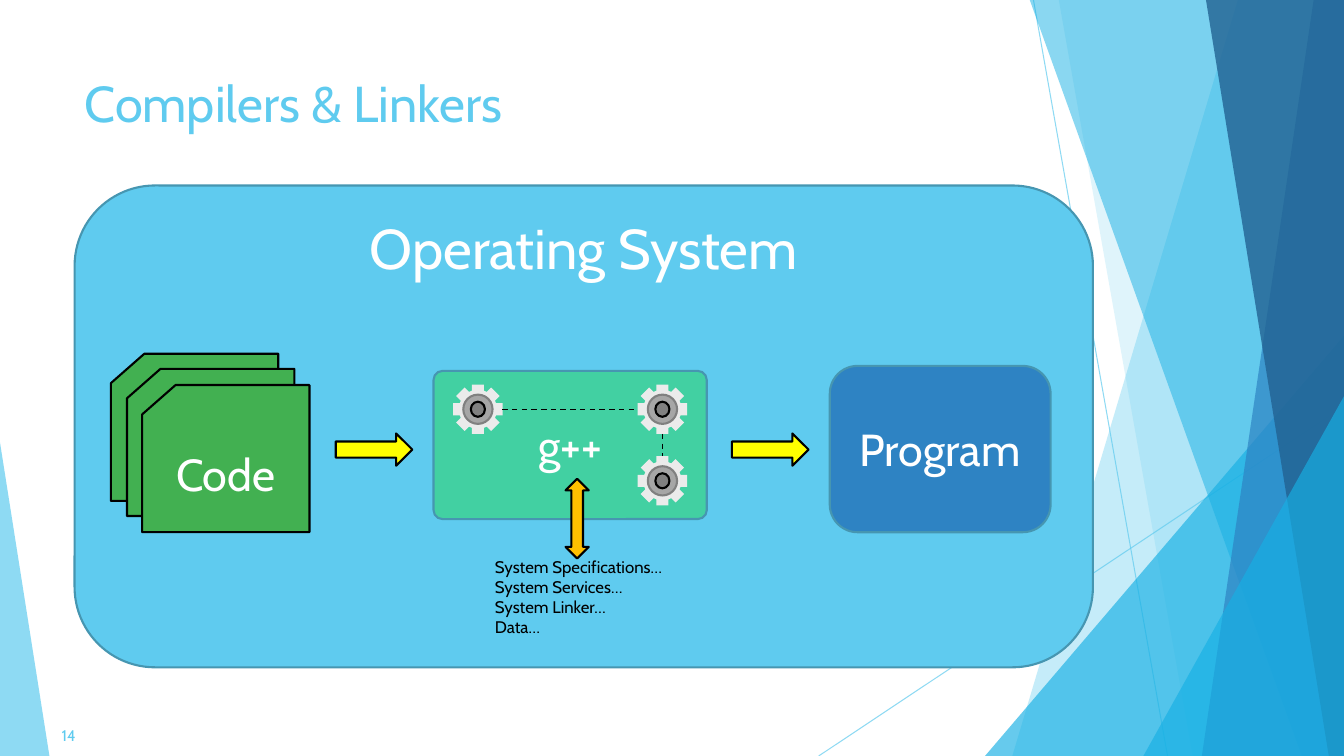
import dataclasses

import lxml.etree
import pptx
import pptx.dml.color
import pptx.enum.dml
import pptx.enum.shapes
import pptx.enum.text
import pptx.oxml.ns
import pptx.util

Inches = pptx.util.Inches
Pt = pptx.util.Pt
qn = pptx.oxml.ns.qn
Shape = pptx.enum.shapes.MSO_SHAPE
Align = pptx.enum.text.PP_ALIGN
Anchor = pptx.enum.text.MSO_ANCHOR
AutoSize = pptx.enum.text.MSO_AUTO_SIZE


@dataclasses.dataclass(frozen=True)
class Theme:
    font: str = "Cabin"
    sky: str = "5FCBEF"
    cyan: str = "17B0E4"
    blue: str = "2E83C3"
    navy: str = "226292"
    outline: str = "4696B1"
    mint: str = "42D0A2"
    green: str = "42B051"
    yellow: str = "FFFF00"
    amber: str = "FFC000"
    pale_grey: str = "EBEBEB"
    mid_grey: str = "A6A6A6"
    dark_grey: str = "808080"
    black: str = "000000"
    white: str = "FFFFFF"
    system_size: int = 40
    title_size: int = 36
    label_size: int = 32
    note_size: int = 12
    number_size: int = 11
    border: float = 1.5


class SlideBuilder:
    def __init__(self, slide, theme):
        self.slide = slide
        self.theme = theme

    def rgb(self, colour):
        return pptx.dml.color.RGBColor.from_string(colour)

    def fade(self, item, opacity):
        """Make every colour of the item partly transparent (opacity in percent)."""
        for colour in item._element.spPr.iter(qn("a:srgbClr")):
            lxml.etree.SubElement(colour, qn("a:alpha"), val=str(opacity * 1000))

    def paint(self, shape, fill, line=None, opacity=None):
        shape.shadow.inherit = False
        shape.fill.solid()
        shape.fill.fore_color.rgb = self.rgb(fill)
        if line:
            shape.line.color.rgb = self.rgb(line)
            shape.line.width = Pt(self.theme.border)
        else:
            shape.line.fill.background()
        if opacity:
            self.fade(shape, opacity)
        return shape

    def set_text(self, shape, lines, size, colour, align=Align.LEFT,
                 anchor=Anchor.TOP, auto_size=AutoSize.NONE):
        frame = shape.text_frame
        frame_format = {"word_wrap": True, "vertical_anchor": anchor, "auto_size": auto_size}
        for key, value in frame_format.items():
            setattr(frame, key, value)
        frame.text = "\n".join(lines)
        for paragraph in frame.paragraphs:
            paragraph.alignment = align
            for key, value in {"name": self.theme.font, "size": Pt(size)}.items():
                setattr(paragraph.font, key, value)
            paragraph.font.color.rgb = self.rgb(colour)

    def title(self, box, text):
        title = self.slide.shapes.title
        for key, value in zip(("left", "top", "width", "height"), box):
            setattr(title, key, Inches(value))
        self.set_text(title, [text], self.theme.title_size, self.theme.sky)

    def shape(self, kind, box, fill, line=None, opacity=None, adjust=None,
              rotation=0, parent=None):
        shapes = (parent or self.slide).shapes
        shape = shapes.add_shape(kind, *map(Inches, box))
        shape.rotation = rotation
        if adjust is not None:
            shape.adjustments[0] = adjust
        return self.paint(shape, fill, line, opacity)

    def block(self, kind, box, fill, line, text, size=None, anchor=Anchor.MIDDLE, adjust=None):
        """Draw an outlined shape with a centred white label."""
        shape = self.shape(kind, box, fill, line, adjust=adjust)
        self.set_text(shape, [text], size or self.theme.label_size, self.theme.white,
                      Align.CENTER, anchor)

    def text(self, box, lines, size, colour, **layout):
        text_box = self.slide.shapes.add_textbox(*map(Inches, box))
        self.set_text(text_box, lines, size, colour, **layout)

    def facet(self, points, fill, opacity):
        """Draw a borderless translucent polygon."""
        corners = [(Inches(x), Inches(y)) for x, y in points]
        builder = self.slide.shapes.build_freeform(*corners[0])
        builder.add_line_segments(corners[1:], close=True)
        self.paint(builder.convert_to_shape(), fill, opacity=opacity)

    def line(self, start, end, colour, width, opacity=None, dashed=False):
        line = self.slide.shapes.add_connector(
            pptx.enum.shapes.MSO_CONNECTOR.STRAIGHT, *map(Inches, start + end))
        line.line.color.rgb = self.rgb(colour)
        line.line.width = Pt(width)
        if dashed:
            line.line.dash_style = pptx.enum.dml.MSO_LINE.DASH
        if opacity:
            self.fade(line, opacity)
        lxml.etree.SubElement(line._element.spPr, qn("a:effectLst"))
        return line

    def gear(self, x, y):
        """Draw a gear centred on x, y and return its upright spoke."""
        theme = self.theme
        group = self.slide.shapes.add_group_shape()

        def centred(kind, width, height, fill, line=None, rotation=0):
            box = (x - width / 2, y - height / 2, width, height)
            return self.shape(kind, box, fill, line, rotation=rotation, parent=group)

        spokes = [centred(Shape.RECTANGLE, 0.12, 0.49, theme.pale_grey, rotation=angle)
                  for angle in (0, 90, 45, 135)]
        for width, height, fill, line in (
                (0.38, 0.39, theme.pale_grey, None),
                (0.29, 0.29, theme.mid_grey, theme.dark_grey),
                (0.14, 0.15, theme.dark_grey, theme.black)):
            centred(Shape.OVAL, width, height, fill, line)
        return spokes[0]


def draw_backdrop(page, theme):
    right, top, bottom = 13.33, -0.01, 7.5
    for start, end in (((10.25, 0), (11.58, bottom)), ((right, 4.03), (8.12, bottom))):
        page.line(start, end, theme.sky, 0.75, opacity=70)

    def band(top_x, bottom_x, fill, opacity):
        page.facet([(top_x, top), (right, top), (right, bottom), (bottom_x, bottom)],
                   fill, opacity)

    def corner(box, adjust, fill, opacity):
        page.shape(Shape.ISOSCELES_TRIANGLE, box, fill, opacity=opacity, adjust=adjust)

    band(12.28, 10.04, theme.sky, 36)
    band(10.5, 11.83, theme.sky, 20)
    corner((9.77, 3.33, 3.56, 4.17), 1, theme.cyan, 66)
    band(10.21, 12.91, theme.cyan, 50)
    band(13.03, 11.92, theme.blue, 70)
    band(11.96, 13.18, theme.navy, 80)
    corner((11.34, 3.93, 1.99, 3.57), 1, theme.cyan, 66)
    corner((0, 4.39, 0.49, 3.11), 0, theme.sky, 70)


def draw_build_flow(page, theme):
    page.block(Shape.ROUNDED_RECTANGLE, (0.74, 1.84, 10.1, 4.78), theme.sky, theme.outline,
               "Operating System", theme.system_size, Anchor.TOP)
    page.block(Shape.ROUNDED_RECTANGLE, (4.3, 3.68, 2.71, 1.47), theme.mint, theme.outline,
               "g++", adjust=0.06)

    for left, top in ((1.1, 3.51), (1.26, 3.66)):
        page.shape(Shape.FLOWCHART_CARD, (left, top, 1.66, 1.46), theme.green, theme.black)
    page.block(Shape.FLOWCHART_CARD, (1.41, 3.82, 1.66, 1.46), theme.green, theme.black, "Code")
    page.block(Shape.ROUNDED_RECTANGLE, (8.23, 3.63, 2.19, 1.65), theme.blue, theme.outline,
               "Program")

    for left in (3.33, 7.26):
        page.shape(Shape.RIGHT_ARROW, (left, 4.3, 0.76, 0.32), theme.yellow, theme.black)
    page.shape(Shape.UP_DOWN_ARROW, (5.61, 4.75, 0.23, 0.79), theme.amber, theme.black)

    lower_spoke, upper_spoke, _ = [
        page.gear(x, y) for x, y in ((6.57, 4.77), (6.57, 4.06), (4.74, 4.06))]
    page.line((4.98, 4.06), (6.32, 4.06), theme.black, 1, dashed=True)
    gear_link = page.line((6.57, 4.3), (6.57, 4.52), theme.black, 1, dashed=True)
    gear_link.begin_connect(upper_spoke, 2)
    gear_link.end_connect(lower_spoke, 0)

    page.text((4.81, 5.47, 1.96, 0.91),
              ["System Specifications…", "System Services…", "System Linker…", "Data…"],
              theme.note_size, theme.black, auto_size=AutoSize.SHAPE_TO_FIT_TEXT)


def main():
    theme = Theme()
    deck = pptx.Presentation()
    deck.slide_width, deck.slide_height = Inches(13.33), Inches(7.5)
    page = SlideBuilder(deck.slides.add_slide(deck.slide_layouts[5]), theme)
    draw_backdrop(page, theme)
    page.title((0.74, 0.67, 9.4, 1.44), "Compilers & Linkers")
    draw_build_flow(page, theme)
    page.text((0.1, 7.1, 0.75, 0.4), ["14"], theme.number_size, theme.sky,
              align=Align.RIGHT, anchor=Anchor.MIDDLE)
    deck.save("out.pptx")


if __name__ == "__main__":
    main()
